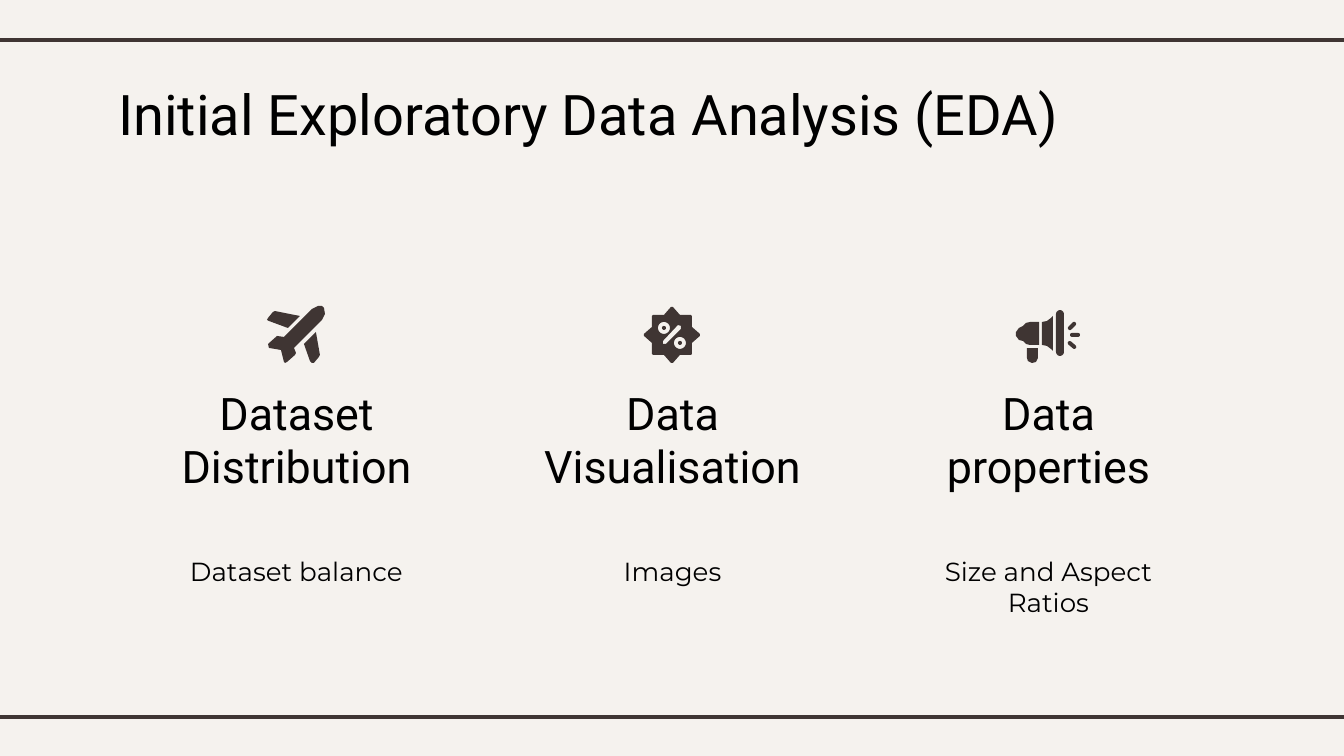
import math

from lxml import etree
from pptx import Presentation, util as u
from pptx.dml.color import RGBColor
from pptx.enum import shapes, text
from pptx.oxml import ns

SCALE = 914400 / 134.4
WIDTH, HEIGHT = 1344, 756
CREAM = RGBColor(0xF5, 0xF2, 0xEE)
BROWN = RGBColor(0x3F, 0x35, 0x33)
BLACK = RGBColor(0, 0, 0)

COLUMN_LEFT, COLUMN_PITCH, COLUMN_WIDTH = 140, 376, 313
COLUMNS = [
    ("Dataset Distribution", "Dataset balance"),
    ("Data Visualisation", "Images"),
    ("Data properties", "Size and Aspect Ratios"),
]

PLANE_BODY = [
    (318, 306), (312, 309), (284, 337), (277, 336), (268, 344), (269, 348),
    (281, 350), (284, 362), (285, 363), (287, 362), (295, 355), (296, 353),
    (294, 348), (322, 320), (325, 314), (324, 308), (322, 306),
]
PLANE_LEFT_WING = [
    (275, 311), (273, 312), (268, 318), (267, 320), (269, 321), (288, 328),
    (300, 316),
]
PLANE_RIGHT_WING = [
    (316, 332), (304, 344), (310, 361), (312, 363), (314, 363), (319, 357),
    (320, 355),
]
HORN_BACK = [
    (1039, 322), (1030, 322), (1026, 323), (1023, 326), (1019, 328),
    (1016, 332), (1016, 336), (1019, 340), (1023, 341), (1026, 344),
    (1030, 345), (1039, 345),
]
HORN_CONE = [
    (1053, 316), (1051, 318), (1047, 321), (1042, 322), (1042, 345),
    (1047, 346), (1051, 349), (1053, 351),
]
HORN_HANDLE = [
    (1027, 348), (1038, 348), (1038, 358), (1036, 362), (1032, 363),
    (1028, 361), (1027, 358),
]


def px(value):
    return u.Emu(round(value * SCALE))


def add_text(s, content, left, top, width, height, size, font, align=text.PP_ALIGN.LEFT):
    tf = s.shapes.add_textbox(px(left), px(top), px(width), px(height)).text_frame
    tf.word_wrap = True
    tf.margin_left = tf.margin_right = tf.margin_top = tf.margin_bottom = u.Inches(0.1)
    p = tf.paragraphs[0]
    p.alignment = align
    r = p.add_run()
    r.text = content
    r.font.size = u.Pt(size)
    r.font.name = font
    r.font.color.rgb = BLACK


def add_rule(s, y):
    line = s.shapes.add_connector(
        shapes.MSO_CONNECTOR.STRAIGHT, px(-11), px(y), px(WIDTH + 11), px(y))
    line.line.color.rgb = BROWN
    line.line.width = u.Pt(2.25)
    etree.SubElement(line._element.spPr, ns.qn("a:effectLst"))


def paint(sp):
    sp.shadow.inherit = False
    sp.fill.solid()
    sp.fill.fore_color.rgb = BROWN
    sp.line.fill.background()


def add_outline(icon, *contours):
    first, *holes = [[(px(x), px(y)) for x, y in c] for c in contours]
    builder = icon.shapes.build_freeform(*first[0], scale=1.0)
    builder.add_line_segments(first[1:], close=True)
    for hole in holes:
        builder.move_to(*hole[0])
        builder.add_line_segments(hole[1:], close=True)
    paint(builder.convert_to_shape())


def add_preset(icon, kind, left, top, width, height, rotation=0):
    sp = icon.shapes.add_shape(kind, px(left), px(top), px(width), px(height))
    paint(sp)
    sp.rotation = rotation
    if kind == shapes.MSO_SHAPE.ROUNDED_RECTANGLE:
        sp.adjustments[0] = 0.5


def circle(cx, cy, radius, steps=32):
    angles = [2 * math.pi * i / steps for i in range(steps)]
    return [(cx + radius * math.cos(a), cy + radius * math.sin(a)) for a in angles]


def star(cx, cy):
    corner = [(28, -1), (28, 1), (20, 8), (20, 19), (19, 20), (8, 20)]
    points = []
    for _ in range(4):
        points += [(cx + x, cy + y) for x, y in corner]
        corner = [(-y, x) for x, y in corner]
    return points


def add_plane(s):
    icon = s.shapes.add_group_shape()
    for contour in (PLANE_BODY, PLANE_LEFT_WING, PLANE_RIGHT_WING):
        add_outline(icon, contour)


def add_percent_badge(s):
    icon = s.shapes.add_group_shape()
    dots = [(664, 328), (680, 343)]
    slash = [(678, 325), (681, 326), (681, 329), (666, 344), (663, 344), (663, 341)]
    add_outline(icon, star(672, 335), slash, *[circle(x, y, 6) for x, y in dots])
    for x, y in dots:
        add_preset(icon, shapes.MSO_SHAPE.OVAL, x - 2, y - 2, 4, 4)


def add_megaphone(s):
    icon = s.shapes.add_group_shape()
    for contour in (HORN_BACK, HORN_CONE, HORN_HANDLE):
        add_outline(icon, contour)
    bars = [
        (1056, 310, 8, 46, 0),
        (1070, 333, 10, 4, 0),
        (1067, 324, 10, 4, -45),
        (1067, 343, 10, 4, 40),
    ]
    for bar in bars:
        add_preset(icon, shapes.MSO_SHAPE.ROUNDED_RECTANGLE, *bar)


def main():
    prs = Presentation()
    prs.slide_width, prs.slide_height = px(WIDTH), px(HEIGHT)
    s = prs.slides.add_slide(prs.slide_layouts[6])
    s.background.fill.solid()
    s.background.fill.fore_color.rgb = CREAM
    for y in (40, 717):
        add_rule(s, y)
    add_text(s, "Initial Exploratory Data Analysis (EDA)", 105, 66, 978, 85,
             size=30, font="Roboto")
    for i, (heading, detail) in enumerate(COLUMNS):
        left = COLUMN_LEFT + i * COLUMN_PITCH
        add_text(s, heading, left, 372, COLUMN_WIDTH, 66,
                 size=24, font="Roboto", align=text.PP_ALIGN.CENTER)
        add_text(s, detail, left, 542, COLUMN_WIDTH, 120,
                 size=14, font="Montserrat", align=text.PP_ALIGN.CENTER)
    add_plane(s)
    add_percent_badge(s)
    add_megaphone(s)
    prs.save("out.pptx")


if __name__ == "__main__":
    main()
